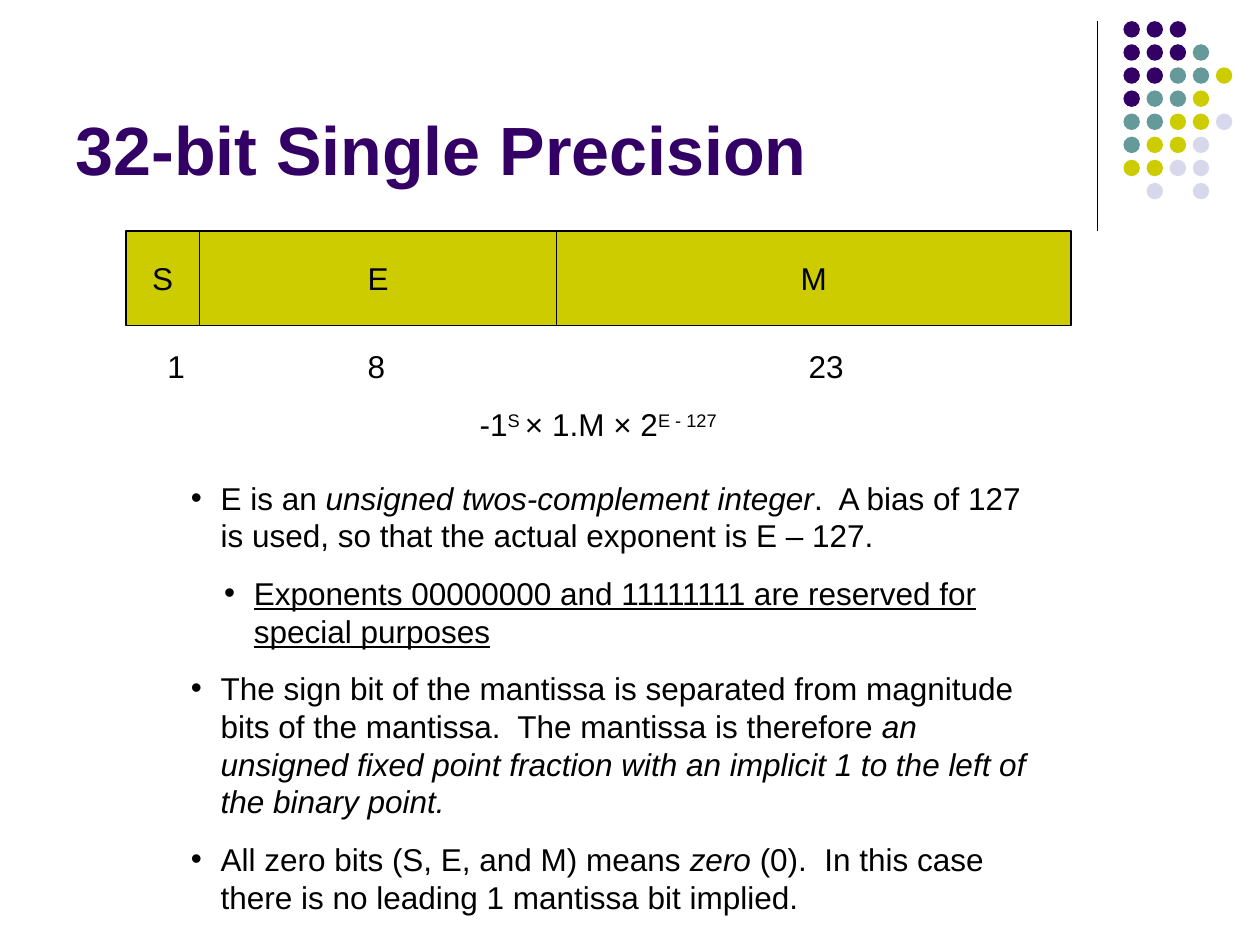
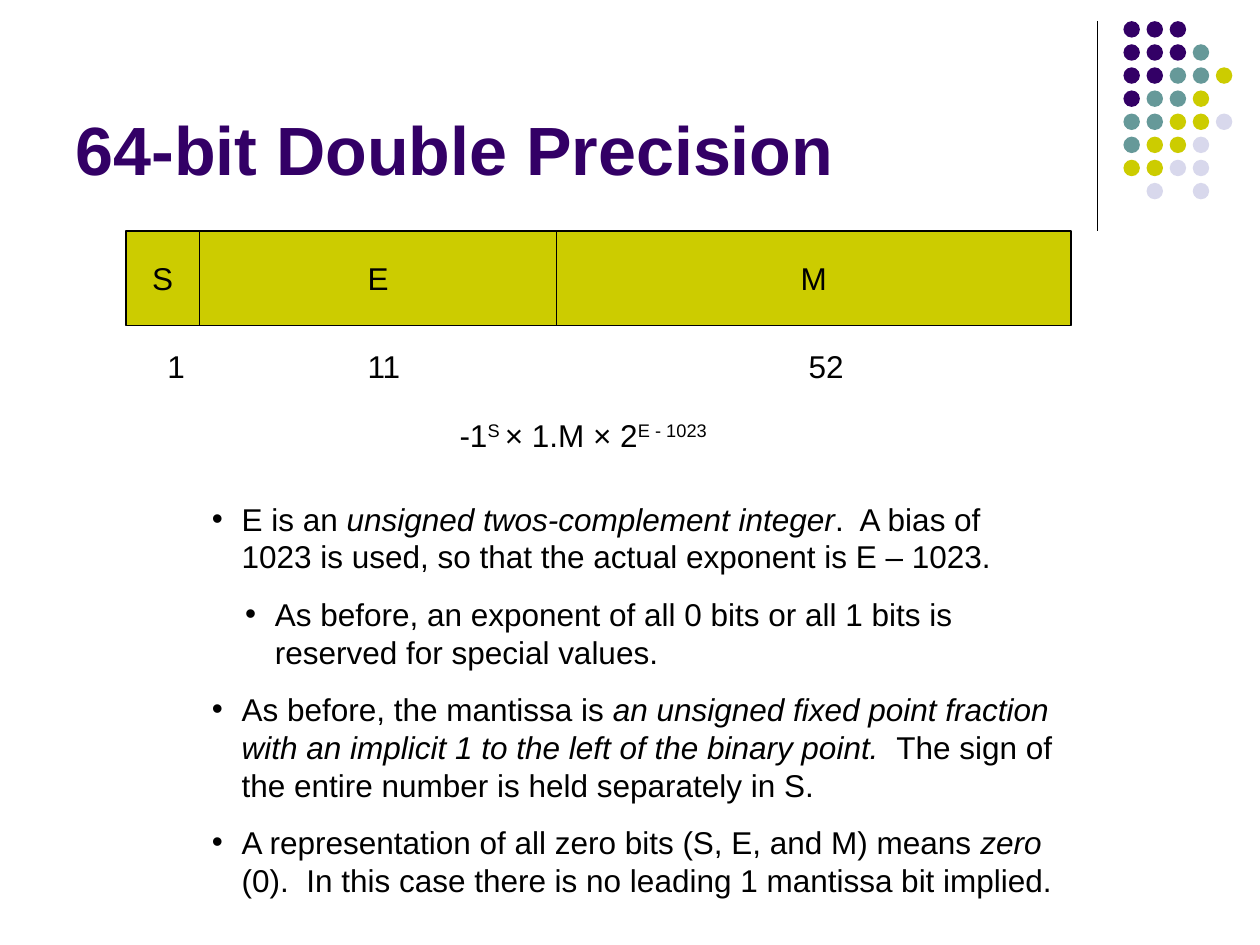
from dataclasses import dataclass

from lxml.etree import SubElement
from pptx import Presentation
from pptx.dml.color import RGBColor
from pptx.enum.shapes import MSO_CONNECTOR, MSO_SHAPE
from pptx.enum.text import MSO_ANCHOR, PP_ALIGN
from pptx.oxml.ns import qn
from pptx.util import Pt


@dataclass(frozen=True)
class Theme:
    font: str = "Arial"
    purple: str = "330066"
    teal: str = "669999"
    olive: str = "CCCC00"
    lavender: str = "D8D8EC"
    black: str = "000000"
    title_size: float = 39
    body_size: float = 18
    line_width: float = 0.75
    bullet_gap: float = 11.2
    hanging: float = 17


THEME = Theme()

# Dot ornament: one letter per dot, a period for an empty place
DOT_ROWS = ["PPP..", "PPPT.", "PPTTO", "PTTO.", "TTOOL", "TOOL.", "OOLL.", ".L.L."]
DOT_COLOURS = {"P": THEME.purple, "T": THEME.teal, "O": THEME.olive, "L": THEME.lavender}
DOT_LEFT, DOT_TOP, DOT_PITCH, DOT_SIZE = 642, 12.1, 13.2, 9.4

# Number format bar: field name, field width, left edge of its bit count
FIELDS = [("S", 42, 88.5), ("E", 204, 203), ("M", 294, 455)]
BAR_LEFT, BAR_TOP, BAR_HEIGHT = 72, 132, 54
COUNT_TOP = 195
LABEL_HEIGHT = 28.8
FORMULA_WIDTH = 165

# Left margin of each bullet level
LEVEL_MARGINS = [THEME.hanging, 36]

# Every paragraph is a list of (text, style) runs
SINGLE_NOTES = [
    (0, [("E is an ", ""), ("unsigned twos-complement integer", "italic"),
         (".  A bias of 127 is used, so that the actual exponent is E – 127.", "")]),
    (1, [("Exponents 00000000 and 11111111 are reserved for special purposes", "underline")]),
    (0, [("The sign bit of the mantissa is separated from magnitude bits of the mantissa.  "
          "The mantissa is therefore ", ""),
         ("an unsigned fixed point fraction with an implicit 1 to the left of "
          "the binary point.", "italic")]),
    (0, [("All zero bits (S, E, and M) means ", ""), ("zero", "italic"),
         (" (0).  In this case there is no leading 1 mantissa bit implied.", "")]),
]
DOUBLE_NOTES = [
    (0, [("E is an ", ""), ("unsigned twos-complement integer", "italic"),
         (".  A bias of 1023 is used, so that the actual exponent is E – 1023.", "")]),
    (1, [("As before, an exponent of all 0 bits or all 1 bits is reserved for "
          "special values.", "")]),
    (0, [("As before, the mantissa is ", ""),
         ("an unsigned fixed point fraction with an implicit 1 to the left of "
          "the binary point.  ", "italic"),
         ("The sign of the entire number is held separately in S.", "")]),
    (0, [("A representation of all zero bits (S, E, and M) means ", ""), ("zero", "italic"),
         (" (0).  In this case there is no leading 1 mantissa bit implied.", "")]),
]


def colour(value):
    return RGBColor.from_string(value)


# Text
def add_run(para, text, style="", size=THEME.body_size, ink=THEME.black):
    span = para.add_run()
    span.text = text
    span.font.name = THEME.font
    span.font.size = Pt(size)
    span.font.color.rgb = colour(ink)
    if style == "superscript":
        span.font._element.set("baseline", "30000")
    elif style:
        setattr(span.font, style, True)


def add_box(page, left, top, width, height):
    box = page.shapes.add_textbox(Pt(left), Pt(top), Pt(width), Pt(height))
    box.text_frame.word_wrap = True
    return box.text_frame


def add_label(page, left, top, width, runs):
    para = add_box(page, left, top, width, LABEL_HEIGHT).paragraphs[0]
    for text, style in runs:
        add_run(para, text, style)


def add_title(page, text):
    frame = add_box(page, 36, 9.5, 594, 102)
    frame.vertical_anchor = MSO_ANCHOR.BOTTOM
    add_run(frame.paragraphs[0], text, "bold", THEME.title_size, THEME.purple)


def set_bullet(para, level):
    properties = para._p.get_or_add_pPr()
    properties.set("marL", str(Pt(LEVEL_MARGINS[level])))
    properties.set("indent", str(-Pt(THEME.hanging)))
    bullet_colour = SubElement(properties, qn("a:buClr"))
    SubElement(bullet_colour, qn("a:srgbClr")).set("val", THEME.black)
    SubElement(properties, qn("a:buFont")).set("typeface", THEME.font)
    SubElement(properties, qn("a:buChar")).set("char", "•")


def add_notes(page, left, top, height, notes):
    frame = add_box(page, left, top, 498, height)
    for index, (level, runs) in enumerate(notes):
        para = frame.add_paragraph() if index else frame.paragraphs[0]
        para.level = level
        set_bullet(para, level)
        if index:
            para.space_before = Pt(THEME.bullet_gap)
        for text, style in runs:
            add_run(para, text, style)


# Shapes
def add_filled(shapes, kind, left, top, width, height, fill):
    shape = shapes.add_shape(kind, Pt(left), Pt(top), Pt(width), Pt(height))
    shape.shadow.inherit = False
    shape.fill.solid()
    shape.fill.fore_color.rgb = colour(fill)
    shape.line.fill.background()
    return shape


def add_ornament(page):
    rule = page.shapes.add_connector(MSO_CONNECTOR.STRAIGHT, Pt(627), Pt(12), Pt(627), Pt(132))
    rule.line.color.rgb = colour(THEME.black)
    rule.line.width = Pt(THEME.line_width)
    SubElement(rule._element.spPr, qn("a:effectLst"))
    dots = page.shapes.add_group_shape()
    for row, letters in enumerate(DOT_ROWS):
        for column, letter in enumerate(letters):
            if letter in DOT_COLOURS:
                add_filled(dots.shapes, MSO_SHAPE.OVAL, DOT_LEFT + column * DOT_PITCH,
                           DOT_TOP + row * DOT_PITCH, DOT_SIZE, DOT_SIZE, DOT_COLOURS[letter])


def add_format_bar(page, bit_counts):
    left = BAR_LEFT
    for name, width, _ in FIELDS:
        field = add_filled(page.shapes, MSO_SHAPE.RECTANGLE, left, BAR_TOP, width,
                           BAR_HEIGHT, THEME.olive)
        field.line.color.rgb = colour(THEME.black)
        field.line.width = Pt(THEME.line_width)
        frame = field.text_frame
        frame.word_wrap = False
        frame.vertical_anchor = MSO_ANCHOR.MIDDLE
        para = frame.paragraphs[0]
        para.alignment = PP_ALIGN.CENTER
        add_run(para, name)
        left += width
    for (_, _, count_left), count in zip(FIELDS, bit_counts):
        add_label(page, count_left, COUNT_TOP, 16 + 10 * len(count), [(count, "")])


def add_formula(page, left, top, bias):
    add_label(page, left, top, FORMULA_WIDTH, [
        ("-1", ""), ("S ", "superscript"), ("× 1.M × 2", ""), (f"E - {bias}", "superscript")])


def add_page(deck, title, bit_counts):
    page = deck.slides.add_slide(deck.slide_layouts[6])
    add_ornament(page)
    add_title(page, title)
    add_format_bar(page, bit_counts)
    return page


def main():
    deck = Presentation()
    deck.slide_width, deck.slide_height = Pt(720), Pt(540)

    # Single precision
    page = add_page(deck, "32-bit Single Precision", ["1", "8", "23"])
    add_formula(page, 267, 228, 127)
    add_notes(page, 102, 270, 257, SINGLE_NOTES)

    # Double precision
    page = add_page(deck, "64-bit Double Precision", ["1", "11", "52"])
    add_formula(page, 255.5, 234, 1023)
    add_notes(page, 114, 282, 235.5, DOUBLE_NOTES)

    deck.save("out.pptx")


if __name__ == "__main__":
    main()
